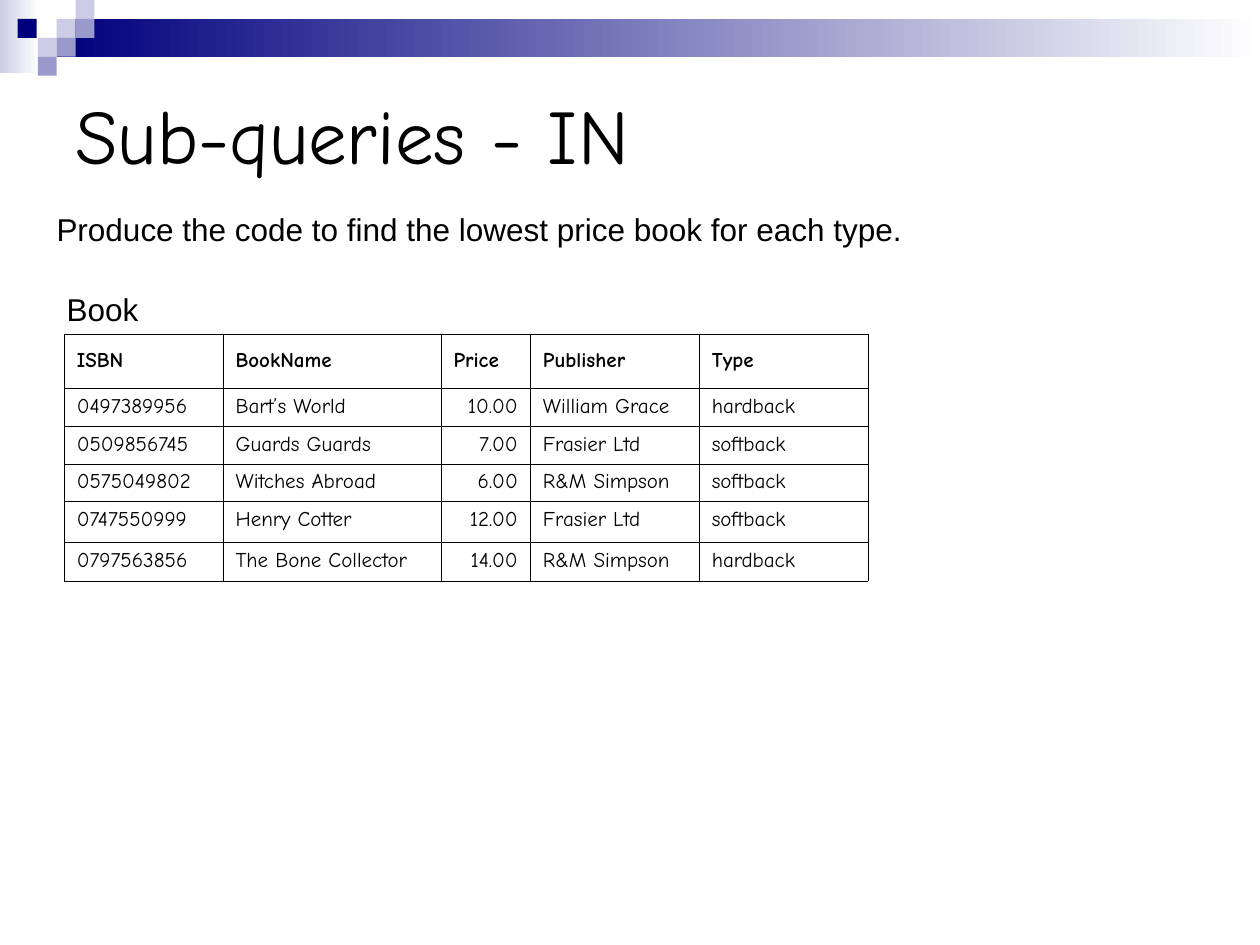
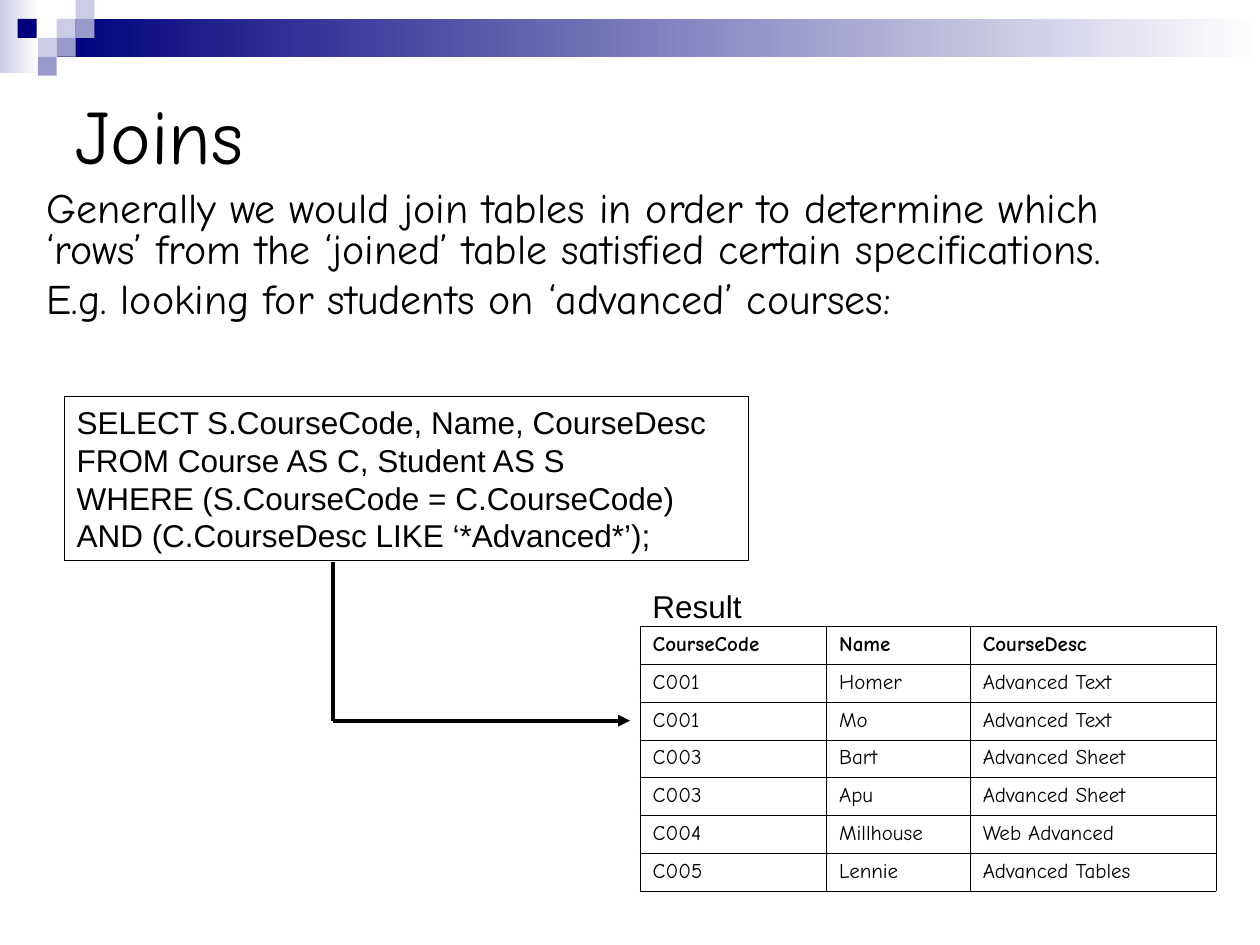
from dataclasses import dataclass

from lxml.etree import SubElement
from pptx import Presentation
from pptx.dml.color import RGBColor
from pptx.enum.shapes import MSO_CONNECTOR, MSO_SHAPE
from pptx.enum.text import MSO_ANCHOR, PP_ALIGN
from pptx.oxml import parse_xml
from pptx.oxml.ns import nsdecls, qn
from pptx.util import Inches, Pt


@dataclass(frozen=True)
class Theme:
    navy: RGBColor = RGBColor.from_string("00007D")
    mid: RGBColor = RGBColor.from_string("9999CC")
    pale: RGBColor = RGBColor.from_string("CCCCE6")
    white: RGBColor = RGBColor.from_string("FFFFFF")
    ink: RGBColor = RGBColor.from_string("000000")
    hand: str = "Comic Neue"
    plain: str = "Arial"
    title_size: int = 44
    body_size: int = 24
    text_size: int = 18
    cell_size: int = 12
    grid_line: float = 0.34
    box_line: float = 0.75
    arrow_line: float = 2.25


theme = Theme()
PLAIN = {"name": theme.plain, "size": Pt(theme.text_size)}
TITLE = {"name": theme.hand, "size": Pt(theme.title_size)}
BODY = {"name": theme.hand, "size": Pt(theme.body_size)}
CELL = {"name": theme.hand, "size": Pt(theme.cell_size), "bold": False}
HEAD = {**CELL, "bold": True}


def write(tf, lines, font, anchor=MSO_ANCHOR.TOP, **paragraph):
    """Fill a text frame, one paragraph a line, with the given formats."""
    tf.word_wrap = True
    tf.vertical_anchor = anchor
    for i, line in enumerate(lines):
        p = tf.paragraphs[0] if i == 0 else tf.add_paragraph()
        r = p.add_run()
        r.text = line
        r.font.color.rgb = theme.ink
        for name, value in font.items():
            setattr(r.font, name, value)
        for name, value in {"alignment": PP_ALIGN.LEFT, **paragraph}.items():
            if i or name != "space_before":
                setattr(p, name, value)


def add_grid(s, left, top, widths, heights, rows, right_cols=()):
    """Add a thinly ruled table with a bold first row."""
    frame = s.shapes.add_table(len(rows), len(widths), Inches(left), Inches(top),
                               Inches(sum(widths)), Inches(sum(heights)))
    table = frame.table
    table.first_row = table.horz_banding = False
    for col, width in zip(table.columns, widths):
        col.width = Inches(width)
    for i, (row, height) in enumerate(zip(rows, heights)):
        table.rows[i].height = Inches(height)
        for j, text in enumerate(row):
            cell = table.cell(i, j)
            to_right = i > 0 and j in right_cols
            write(cell.text_frame, [text], CELL if i else HEAD,
                  alignment=PP_ALIGN.RIGHT if to_right else PP_ALIGN.LEFT)
            cell.vertical_anchor = MSO_ANCHOR.TOP if i else MSO_ANCHOR.MIDDLE
            tcPr = cell._tc.get_or_add_tcPr()
            for side in ("lnL", "lnR", "lnT", "lnB"):
                tcPr.append(parse_xml(
                    f'<a:{side} {nsdecls("a")} w="{Pt(theme.grid_line)}"><a:solidFill>'
                    f'<a:srgbClr val="{theme.ink}"/></a:solidFill></a:{side}>'))
            if i:
                cell.fill.solid()
                cell.fill.fore_color.rgb = theme.white
            else:
                cell.fill.background()


prs = Presentation()
prs.slide_width, prs.slide_height = Inches(10), Inches(7.5)

# Shared header: two fading bands, a mosaic of squares, and the title
SQ = 0.15
bands = [((0, 0, 0.31, 0.58), theme.pale), ((0.45, SQ, 9.55, 2 * SQ), theme.navy)]
squares = [(0.45, 0.15, theme.pale), (0.6, 0, theme.pale), (0.6, 0.15, theme.mid),
           (0.3, 0.3, theme.pale), (0.14, 0.15, theme.navy), (0.45, 0.3, theme.mid),
           (0.3, 0.45, theme.mid)]
header = [(box, color, True) for box, color in bands]
header += [((x, y, SQ, SQ), color, False) for x, y, color in squares]

for title in ("Sub-queries - IN", "Joins"):
    s = prs.slides.add_slide(prs.slide_layouts[6])
    for box, color, fades in header:
        sp = s.shapes.add_shape(MSO_SHAPE.RECTANGLE, *map(Inches, box))
        sp.shadow.inherit = False
        sp.line.fill.background()
        if fades:
            sp.fill.gradient()
            sp.fill.gradient_angle = 0
            for stop, rgb in zip(sp.fill.gradient_stops, (color, theme.white)):
                stop.color.rgb = rgb
        else:
            sp.fill.solid()
            sp.fill.fore_color.rgb = color
    sp = s.shapes.add_textbox(Inches(0.5), Inches(0.5), Inches(9), Inches(1.12))
    write(sp.text_frame, [title], TITLE, MSO_ANCHOR.MIDDLE)

subqueries, joins = prs.slides

# Plain labels on both slides
for s, box, text in (
    (subqueries, (0.35, 1.62, 7.79, 0.4),
     "Produce the code to find the lowest price book for each type."),
    (subqueries, (0.43, 2.25, 2.91, 0.4), "Book"),
    (joins, (5.08, 4.61, 2.13, 0.4), "Result"),
):
    write(s.shapes.add_textbox(*map(Inches, box)).text_frame, [text], PLAIN)

# Slide 1: book table
books = [
    ("ISBN", "BookName", "Price", "Publisher", "Type"),
    ("0497389956", "Bart’s World", "10.00", "William Grace", "hardback"),
    ("0509856745", "Guards Guards", "7.00", "Frasier Ltd", "softback"),
    ("0575049802", "Witches Abroad", "6.00", "R&M Simpson", "softback"),
    ("0747550999", "Henry Cotter", "12.00", "Frasier Ltd", "softback"),
    ("0797563856", "The Bone Collector", "14.00", "R&M Simpson", "hardback"),
]
add_grid(subqueries, 0.51, 2.65, (1.26, 1.73, 0.71, 1.34, 1.34),
         (0.43, 0.3, 0.3, 0.3, 0.32, 0.31), books, right_cols=(2,))

# Slide 2: explanation, query, arrow and result table
sp = joins.shapes.add_textbox(Inches(0.27), Inches(1.47), Inches(9.14), Inches(1.15))
write(sp.text_frame, [
    "Generally we would join tables in order to determine which ‘rows’ from "
    "the ‘joined’ table satisfied certain specifications.",
    "E.g. looking for students on ‘advanced’ courses:",
], BODY, line_spacing=0.8, space_before=Pt(6))

sp = joins.shapes.add_shape(MSO_SHAPE.RECTANGLE, Inches(0.51), Inches(3.15),
                            Inches(5.43), Inches(1.3))
sp.shadow.inherit = False
sp.fill.background()
sp.line.color.rgb = theme.ink
sp.line.width = Pt(theme.box_line)
write(sp.text_frame, [
    "SELECT S.CourseCode, Name, CourseDesc",
    "FROM Course AS C, Student AS S",
    "WHERE (S.CourseCode = C.CourseCode)",
    "AND (C.CourseDesc LIKE ‘*Advanced*’);",
], PLAIN)

for ends, has_head in (((2.64, 4.46, 2.64, 5.72), False), ((2.64, 5.72, 5, 5.72), True)):
    line = joins.shapes.add_connector(MSO_CONNECTOR.STRAIGHT, *map(Inches, ends))
    line.line.color.rgb = theme.ink
    line.line.width = Pt(theme.arrow_line)
    if has_head:
        SubElement(line.line._get_or_add_ln(), qn("a:tailEnd"), type="triangle")
    SubElement(line._element.spPr, qn("a:effectLst"))

results = [
    ("CourseCode", "Name", "CourseDesc"),
    ("C001", "Homer", "Advanced Text"),
    ("C001", "Mo", "Advanced Text"),
    ("C003", "Bart", "Advanced Sheet"),
    ("C003", "Apu", "Advanced Sheet"),
    ("C004", "Millhouse", "Web Advanced"),
    ("C005", "Lennie", "Advanced Tables"),
]
add_grid(joins, 5.08, 4.97, (1.48, 1.14, 1.95), [0.3] * len(results), results)

prs.save("out.pptx")
